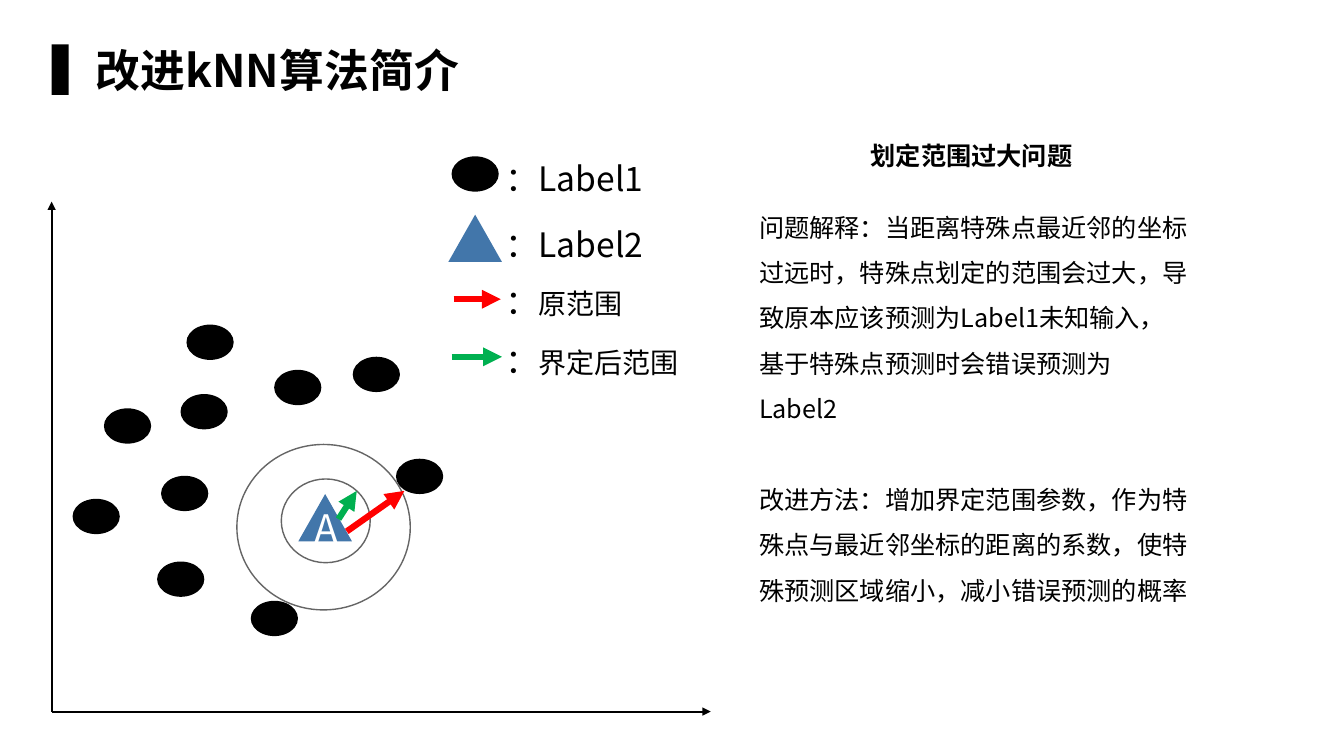
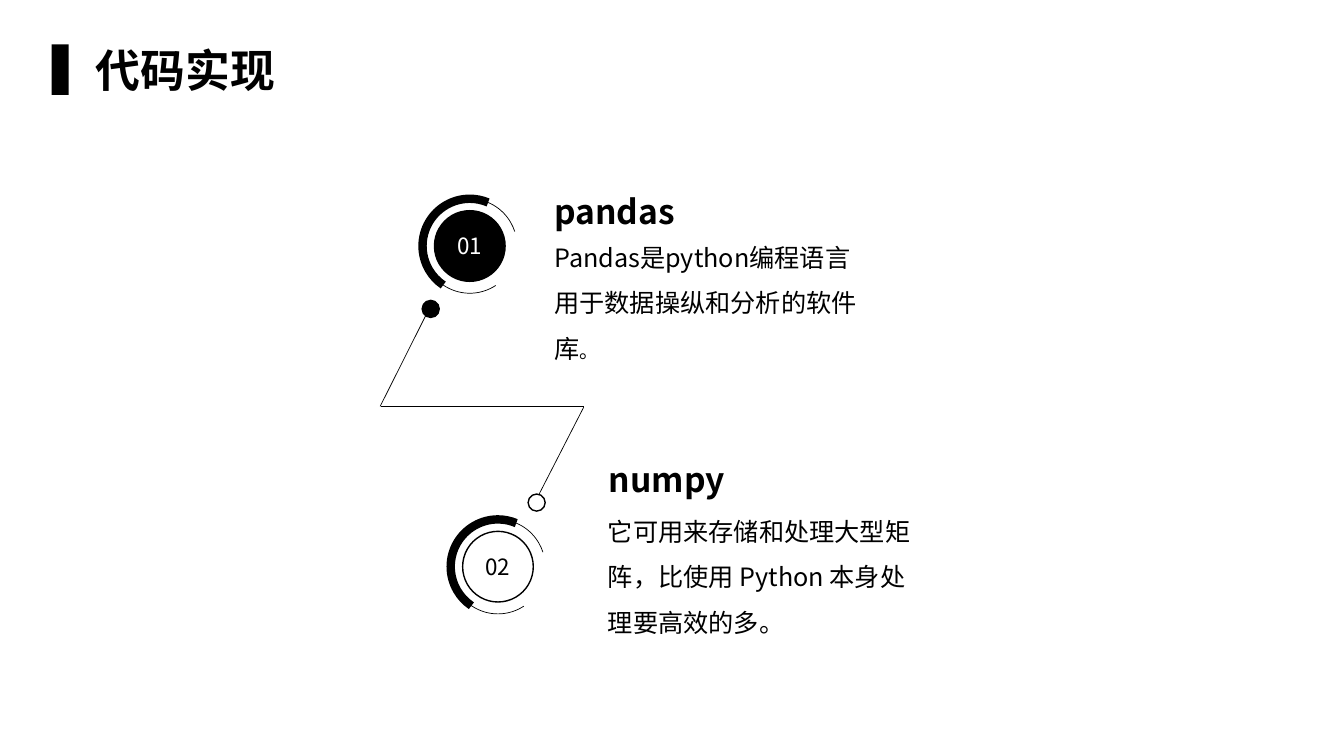
"""Build two slides on an improved kNN algorithm and its code."""
from dataclasses import dataclass

from lxml.etree import SubElement
from pptx import Presentation
from pptx.dml.color import RGBColor
from pptx.enum.shapes import MSO_CONNECTOR as Link, MSO_SHAPE as Preset
from pptx.enum.text import MSO_ANCHOR as Anchor, MSO_AUTO_SIZE as Fit, PP_ALIGN as Align
from pptx.oxml.ns import qn
from pptx.util import Cm, Pt


@dataclass(frozen=True)
class Theme:
    font: str = "Noto Sans CJK SC"
    ink: str = "000000"
    paper: str = "FFFFFF"
    blue: str = "4276AA"
    ring: str = "656565"
    red: str = "FF0000"
    green: str = "00B050"
    title: int = 32
    mark: int = 28
    heading: int = 24
    label: int = 20
    body: int = 18
    badge: int = 16
    stop: int = 14


THEME = Theme()
WIDE, TIGHT = (0.25, 0.13), (0.18, 0.08)

DOT_SIZE, TRIANGLE_SIZE = (1.19, 0.89), (1.35, 1.19)
DOTS = [
    (3.96, 14.15), (2.62, 10.29), (6.91, 9.32), (6.32, 15.14), (9.98, 11.56),
    (4.06, 11.99), (4.55, 9.93), (4.7, 8.18), (8.89, 8.99), (1.83, 12.57),
    (11.38, 3.94),
]
TRIANGLES = [(7.52, 12.45), (11.3, 5.41)]
RINGS = [(5.97, 11.2, 4.37, 4.17), (7.09, 12.07, 2.24, 2.11)]
ORIGIN = (1.3, 17.93)
AXIS_ENDS = [(1.3, 5.08), (17.91, 17.93)]
RANGE_ARROWS = [
    ((8.74, 13.39), (10.19, 12.37), THEME.red),
    ((8.53, 13.08), (8.99, 12.37), THEME.green),
    ((11.43, 7.54), (12.62, 7.54), THEME.red),
    ((11.38, 8.99), (12.65, 8.99), THEME.green),
]
LEGEND = [
    (3.4, [("：Label1", None)]),
    (5.05, [("：Label2", None)]),
    (6.48, [("：", None), ("原范围", THEME.label)]),
    (7.98, [("：", None), ("界定后范围", THEME.label)]),
]
PROBLEM = [
    "问题解释：当距离特殊点最近邻的坐标过远时，特殊点划定的范围会过大，"
    "导致原本应该预测为Label1未知输入，基于特殊点预测时会错误预测为Label2",
    "改进方法：增加界定范围参数，作为特殊点与最近邻坐标的距离的系数，"
    "使特殊预测区域缩小，减小错误预测的概率",
]

LIBRARIES = [
    {
        "number": "01", "badge": (10.95, 5.31), "fill": THEME.ink, "ink": THEME.paper,
        "name": "pandas", "name_at": (13.72, 4.67), "text_at": (13.79, 5.64),
        "text": [("Pandas是python编程语言用于数据操纵和分析的软件库", None), ("。", THEME.stop)],
        "joint": (10.64, 7.57),
    },
    {
        "number": "02", "badge": (11.66, 13.39), "fill": THEME.paper, "ink": THEME.ink,
        "name": "numpy", "name_at": (15.09, 11.43), "text_at": (15.14, 12.55),
        "text": [("它可用来存储和处理大型矩阵，比使用 Python 本身处理要高效的多。", None)],
        "joint": (13.31, 12.45),
    },
]
BADGE_SIZE, ARC_GAP, JOINT_SIZE = 1.78, 0.3, 0.43
ARCS = [(56.77, 342.15, 0.5), (124.15, 292.85, 6)]
ROUTE = [
    ((9.6, 10.24), (14.71, 10.24)),
    ((9.58, 10.24), (10.77, 7.87)),
    ((14.71, 10.26), (13.51, 12.6)),
]


def color(value):
    return RGBColor.from_string(value)


def write(box, paragraphs, size, ink=THEME.ink, bold=False, align=Align.LEFT,
          spacing=1.0, gap=0, inset=WIDE, anchor=Anchor.TOP, wrap=True):
    """Fill a shape with paragraphs, each a list of (text, size) spans."""
    frame = box.text_frame
    frame.word_wrap, frame.auto_size, frame.vertical_anchor = wrap, Fit.NONE, anchor
    frame.margin_left = frame.margin_right = Cm(inset[0])
    frame.margin_top = frame.margin_bottom = Cm(inset[1])
    for index, spans in enumerate(paragraphs):
        para = frame.add_paragraph() if index else frame.paragraphs[0]
        for text, span_size in spans:
            span = para.add_run()
            span.text = text
            if span_size:
                span.font.size = Pt(span_size)
        para.alignment, para.line_spacing = align, spacing
        para.space_before, para.space_after = Pt(gap if index else 0), Pt(0)
        font = para.font
        font.size, font.bold, font.name = Pt(size), bold, THEME.font
        font.color.rgb = color(ink)
        properties = para._p.get_or_add_pPr()
        properties.set("marL", "0")
        properties.set("indent", "0")
        defaults = properties.find(qn("a:defRPr"))
        SubElement(defaults, qn("a:ea"), typeface=THEME.font)
        defaults.addprevious(SubElement(properties, qn("a:buNone")))


def place(box, left, top, width, height):
    box.left, box.top, box.width, box.height = map(Cm, (left, top, width, height))
    return box


def add_text(page, area, spans, size, **style):
    write(page.shapes.add_textbox(*map(Cm, area)), [spans], size, **style)


def add_preset(page, preset, area, fill=None, line=None, weight=1):
    shape = page.shapes.add_shape(preset, *map(Cm, area))
    shape.shadow.inherit = False
    if fill:
        shape.fill.solid()
        shape.fill.fore_color.rgb = color(fill)
    else:
        shape.fill.background()
    if line:
        shape.line.color.rgb = color(line)
        shape.line.width = Pt(weight)
    else:
        shape.line.fill.background()
    return shape


def add_line(page, start, end, ink=THEME.ink, weight=0.5, arrow=False):
    line = page.shapes.add_connector(Link.STRAIGHT, *map(Cm, (*start, *end)))
    line.line.color.rgb = color(ink)
    line.line.width = Pt(weight)
    if arrow:
        SubElement(line.line._get_or_add_ln(), qn("a:tailEnd"), type="triangle")
    SubElement(line._element.spPr, qn("a:effectLst"))


def add_page(deck, layout, title):
    page = deck.slides.add_slide(deck.slide_layouts.get_by_name(layout))
    heading = place(page.shapes.title, 2.16, 0.94, 14.27, 1.63)
    write(heading, [[(title, None)]], THEME.title, bold=True)
    add_preset(page, Preset.RECTANGLE, (1.3, 1.12, 0.43, 1.27), THEME.ink)
    return page


def build_algorithm(deck):
    page = add_page(deck, "Title and Content", "改进kNN算法简介")
    for end in AXIS_ENDS:
        add_line(page, ORIGIN, end, weight=1.5, arrow=True)
    for corner in DOTS:
        add_preset(page, Preset.OVAL, corner + DOT_SIZE, THEME.ink)
    for corner in TRIANGLES:
        add_preset(page, Preset.ISOSCELES_TRIANGLE, corner + TRIANGLE_SIZE, THEME.blue)
    for top, spans in LEGEND:
        add_text(page, (12.55, top, 4.98, 1.55), spans, THEME.heading,
                 spacing=1.5, inset=TIGHT)
    add_text(page, (5.66, 12.04, 5.11, 1.78), [("A", None)], THEME.mark,
             ink=THEME.paper, align=Align.CENTER, spacing=1.5, inset=TIGHT)
    for area in RINGS:
        add_preset(page, Preset.OVAL, area, line=THEME.ring)
    for start, end, ink in RANGE_ARROWS:
        add_line(page, start, end, ink, 4.5, arrow=True)
    add_text(page, (21.46, 3.4, 6.05, 1.02), [("划定范围过大问题", None)], THEME.body,
             bold=True, align=Align.CENTER)
    body = place(page.placeholders[1], 18.95, 4.88, 11.2, 9.27)
    write(body, [[(text, None)] for text in PROBLEM], THEME.body,
          spacing=1.5, gap=32.5, inset=TIGHT)


def build_libraries(deck):
    page = add_page(deck, "Comparison", "代码实现")
    for start, end in ROUTE:
        add_line(page, start, end)
    for index, library in enumerate(LIBRARIES):
        left, top = library["badge"]
        add_preset(page, Preset.OVAL, library["joint"] + (JOINT_SIZE, JOINT_SIZE),
                   library["fill"], THEME.ink)
        badge = add_preset(page, Preset.OVAL, (left, top, BADGE_SIZE, BADGE_SIZE),
                           library["fill"], THEME.ink)
        write(badge, [[(library["number"], None)]], THEME.badge, library["ink"],
              align=Align.CENTER, anchor=Anchor.MIDDLE, wrap=False)
        arc_size = BADGE_SIZE + 2 * ARC_GAP
        for start, end, weight in ARCS:
            arc = add_preset(page, Preset.ARC,
                             (left - ARC_GAP, top - ARC_GAP, arc_size, arc_size),
                             line=THEME.ink, weight=weight)
            arc.adjustments[0], arc.adjustments[1] = start * 0.6, end * 0.6
        name = place(page.placeholders[1 + 2 * index], *library["name_at"], 5.23, 1.27)
        write(name, [[(library["name"], None)]], THEME.heading, bold=True)
        text = place(page.placeholders[2 + 2 * index], *library["text_at"], 8.15, 3.5)
        write(text, [library["text"]], THEME.body, spacing=1.5, inset=TIGHT)


def main():
    deck = Presentation()
    deck.slide_width, deck.slide_height = Cm(33.87), Cm(19.05)
    build_algorithm(deck)
    build_libraries(deck)
    deck.save("out.pptx")


if __name__ == "__main__":
    main()
